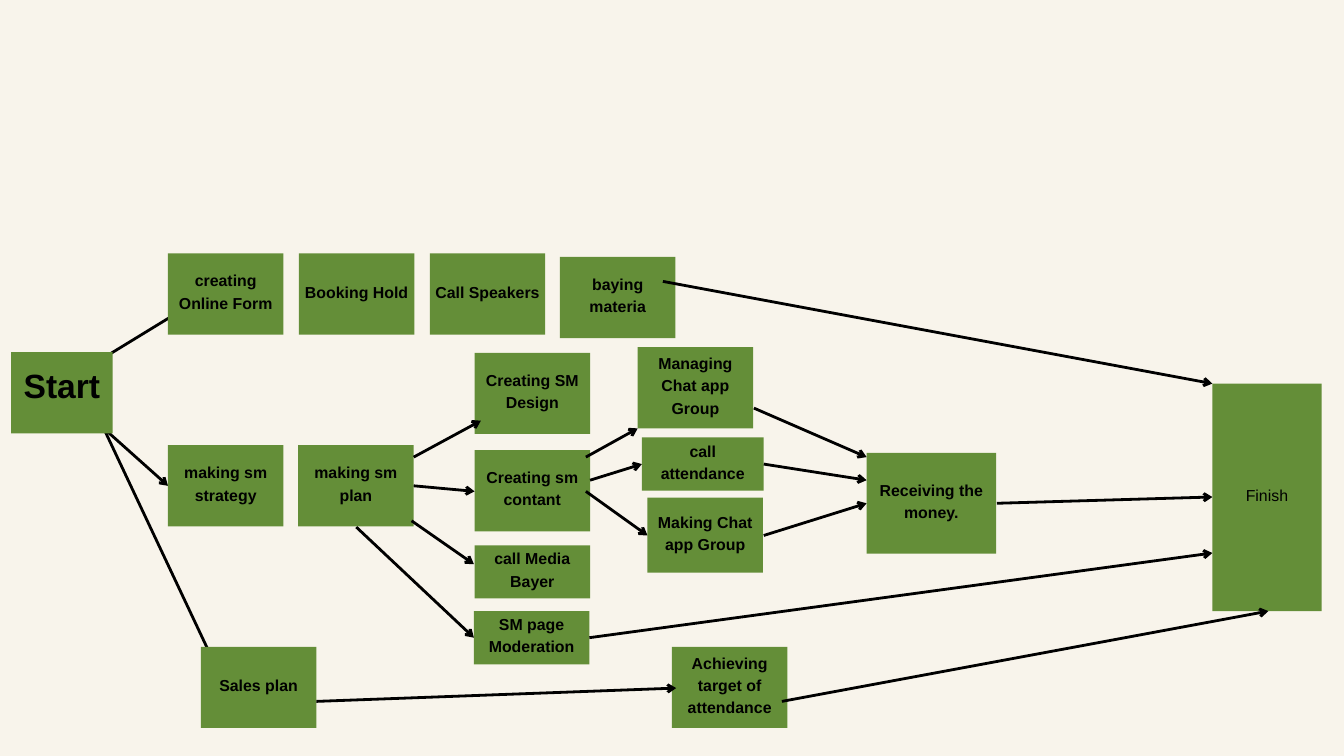
from lxml.etree import SubElement
from pptx import Presentation
from pptx.dml.color import RGBColor
from pptx.enum.shapes import MSO_CONNECTOR as CONNECTOR, MSO_SHAPE as SHAPE
from pptx.enum.text import MSO_ANCHOR as ANCHOR, PP_ALIGN as ALIGN
from pptx.oxml.ns import qn
from pptx.util import Pt

PX = 9525  # EMU in one px
CREAM = RGBColor(0xF8, 0xF4, 0xEB)
GREEN = RGBColor(0x64, 0x8E, 0x38)
BLACK = RGBColor(0x00, 0x00, 0x00)
STEP_W, STEP_H, LOW_H = 165, 116, 76
STEP_PITCH = 187


def write(frame, text, size=17, bold=True, spacing=23.8, lift=11):
    """Centre the text in its frame, raised by half of lift."""
    frame.word_wrap = True
    frame.vertical_anchor = ANCHOR.MIDDLE
    frame.margin_left = frame.margin_right = 5 * PX
    frame.margin_top = 0
    frame.margin_bottom = lift * PX
    line = frame.paragraphs[0]
    line.alignment = ALIGN.CENTER
    line.line_spacing = Pt(spacing)
    run = line.add_run()
    run.text = text
    run.font.name = "Arial"
    run.font.size = Pt(size)
    run.font.bold = bold
    run.font.color.rgb = BLACK


def add_step(slide, origin, text, x, y, width=STEP_W, height=STEP_H, **text_format):
    left, top = origin
    step = slide.shapes.add_shape(
        SHAPE.RECTANGLE, (left + x) * PX, (top + y) * PX, width * PX, height * PX)
    step.shadow.inherit = False
    step.fill.solid()
    step.fill.fore_color.rgb = GREEN
    step.line.fill.background()
    write(step.text_frame, text, **text_format)


def add_arrows(slide, origin, routes):
    left, top = origin
    for x1, y1, x2, y2 in routes:
        arrow = slide.shapes.add_connector(
            CONNECTOR.STRAIGHT, (left + x1) * PX, (top + y1) * PX,
            (left + x2) * PX, (top + y2) * PX)
        arrow.line.color.rgb = BLACK
        arrow.line.width = Pt(3)
        SubElement(arrow.line._get_or_add_ln(), qn("a:tailEnd"), type="arrow")
        SubElement(arrow._element.spPr, qn("a:effectLst"))


def add_start(slide, origin):
    add_arrows(slide, origin, [
        (49, 59, 242, -59), (73, 56, 224, 191), (135, 115, 307, 480)])
    add_step(slide, origin, "Start", 0, 0, width=145, size=36, spacing=50.4, lift=31)


def add_finish(slide, origin):
    add_step(slide, origin, "Finish", 0, 0, width=156, height=325, bold=False)


def add_event_row(slide, origin):
    steps = ["creating Online Form", "Booking Hold", "Call Speakers"]
    for column, text in enumerate(steps):
        add_step(slide, origin, text, column * STEP_PITCH, 0)
    add_step(slide, origin, "baying materia", 560, 5)
    add_arrows(slide, origin, [(707, 40, 1492, 186)])


def add_social_media(slide, origin):
    steps = [
        ("making sm strategy", 0, 140, STEP_W, STEP_H),
        ("making sm plan", 186, 140, STEP_W, STEP_H),
        ("Creating SM Design", 438, 8, STEP_W, STEP_H),
        ("Creating sm contant", 438, 147, STEP_W, STEP_H),
        ("call Media Bayer", 438, 283, STEP_W, LOW_H),
        ("SM page Moderation", 437, 377, STEP_W, LOW_H),
        ("Managing Chat app Group", 671, 0, STEP_W, STEP_H),
        ("call attendance", 677, 129, 174, LOW_H),
        ("Making Chat app Group", 685, 215, STEP_W, 107),
        ("Receiving the money.", 998, 151, 185, 144),
    ]
    for step in steps:
        add_step(slide, origin, *step)
    from_plan = [(351, 157, 447, 105), (351, 198, 438, 206),
                 (348, 248, 437, 310), (269, 257, 437, 415)]
    from_content = [(597, 157, 671, 116), (603, 190, 677, 167), (597, 206, 685, 269)]
    to_money = [(837, 87, 998, 157), (851, 167, 998, 190), (851, 269, 998, 223)]
    to_finish = [(602, 415, 1492, 294), (1184, 223, 1492, 214)]
    add_arrows(slide, origin, from_plan + from_content + to_money + to_finish)


def add_sales(slide, origin):
    add_step(slide, origin, "Sales plan", 0, 0)
    add_step(slide, origin, "Achieving target of attendance", 673, 0)
    add_arrows(slide, origin, [(165, 78, 679, 59), (830, 78, 1525, -51)])


def main():
    deck = Presentation()
    deck.slide_width, deck.slide_height = 1920 * PX, 1080 * PX
    slide = deck.slides.add_slide(deck.slide_layouts[6])
    slide.background.fill.solid()
    slide.background.fill.fore_color.rgb = CREAM
    add_start(slide, (16, 503))
    add_finish(slide, (1732, 548))
    add_event_row(slide, (240, 362))
    add_social_media(slide, (240, 496))
    add_sales(slide, (287, 924))
    deck.save("out.pptx")


if __name__ == "__main__":
    main()
